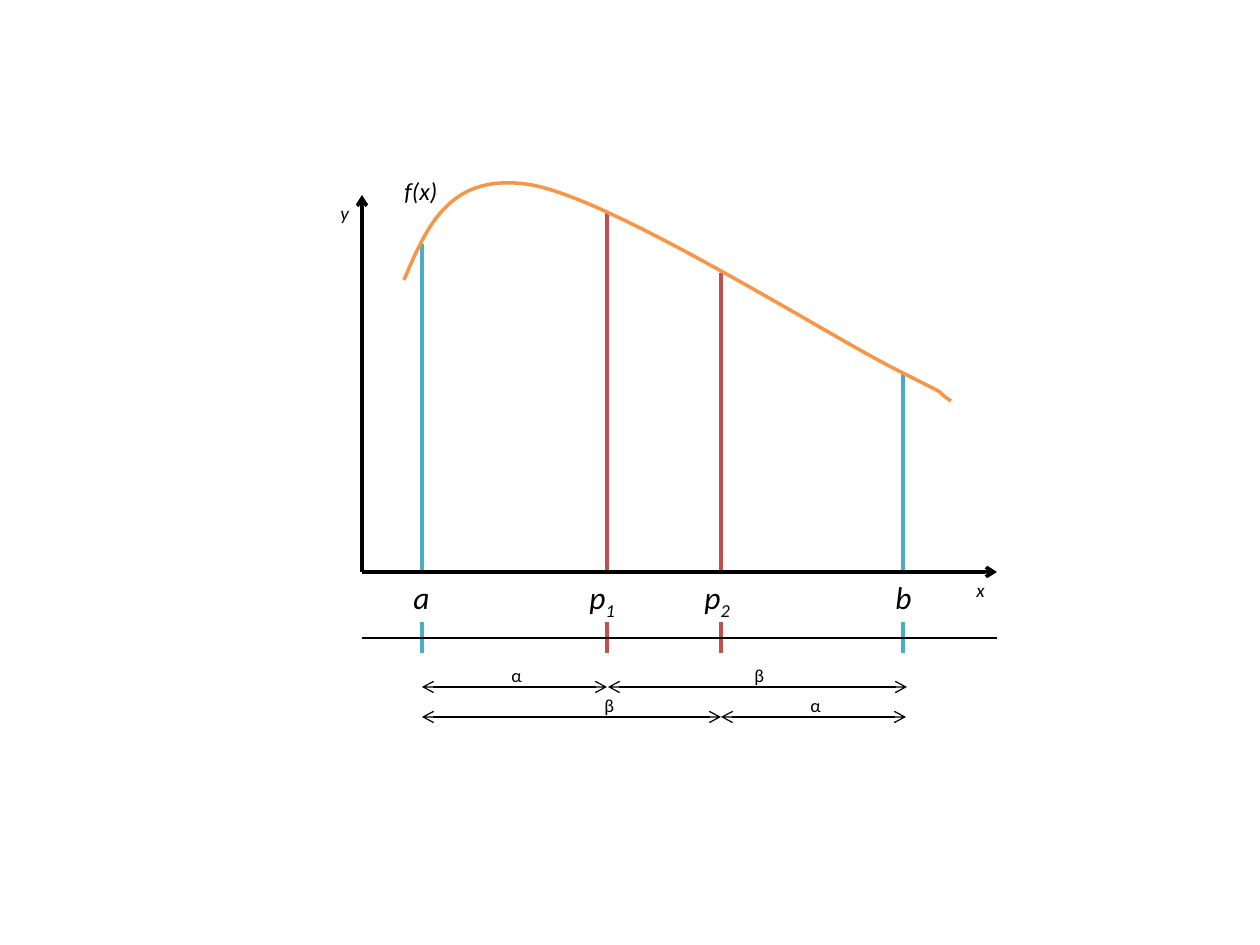
"""Build the interval search slide: a curve over [a, b] with two probe points."""
from lxml import etree
from pptx import Presentation, util as u
from pptx.dml.color import RGBColor
from pptx.enum import shapes, text
from pptx.oxml.ns import qn

PX = u.Inches(1) // 126
COLORS = {"ink": "000000", "bound": "4BACC6", "probe": "C0504D", "curve": "F79646"}
LEFT, RIGHT, TOP, BASE = 362, 997, 195, 572
SCALE_Y, TICK_TOP, TICK_BOTTOM = 638, 622, 653
A, P1, P2, B = 422, 607, 721, 903

MARKS = [(A, 244, "bound"), (P1, 213, "probe"), (P2, 273, "probe"), (B, 373, "bound")]
CURVE_START = (404, 280)
CURVE = [
    [(427, 226), (450, 171), (532, 185)],
    [(614, 200), (824, 333), (895, 369)],
    [(964, 404), (926, 384), (951, 401)],
]
SPANS = [(A, P1, 687), (P1 + 1, B + 4, 687), (A, P2, 717), (P2, B + 3, 717)]
LABELS = [
    ("a", "", 401, BASE, 30, 50, 18),
    ("b", "", 883, BASE, 42, 50, 18),
    ("p", "1", 577, BASE, 59, 50, 18),
    ("p", "2", 692, BASE, 59, 50, 18),
    ("f(x)", "", 392, 170, 59, 43, 14),
    ("y", "", 328, TOP, 34, 37, 11),
    ("x", "", 964, BASE, 34, 37, 11),
    ("α", "", 499, 658, 32, 37, 10.5),
    ("β", "", 742, 658, 32, 37, 10.5),
    ("β", "", 592, 688, 32, 37, 10.5),
    ("α", "", 798, 688, 32, 37, 10.5),
]

prs = Presentation()
prs.slide_width, prs.slide_height = u.Inches(10), u.Inches(7.5)
s = prs.slides.add_slide(prs.slide_layouts[6])


def style_line(line, color, width):
    line.color.rgb = RGBColor.from_string(COLORS[color])
    line.width = u.Pt(width)


def add_line(x1, y1, x2, y2, color="ink", width=2, ends=()):
    c = s.shapes.add_connector(
        shapes.MSO_CONNECTOR.STRAIGHT, x1 * PX, y1 * PX, x2 * PX, y2 * PX)
    style_line(c.line, color, width)
    ln = c.line._get_or_add_ln()
    for end in ends:
        etree.SubElement(ln, qn(f"a:{end}"), type="arrow")
    etree.SubElement(c._element.spPr, qn("a:effectLst"))


def bezier(p0, p1, p2, p3, steps=24):
    for i in range(1, steps + 1):
        t = i / steps
        k = ((1 - t) ** 3, 3 * t * (1 - t) ** 2, 3 * t * t * (1 - t), t ** 3)
        yield tuple(round(PX * sum(w * v for w, v in zip(k, axis)))
                    for axis in zip(p0, p1, p2, p3))


def add_curve():
    points, start = [], CURVE_START
    for segment in CURVE:
        points += bezier(start, *segment)
        start = segment[-1]
    fb = s.shapes.build_freeform(CURVE_START[0] * PX, CURVE_START[1] * PX)
    fb.add_line_segments(points, close=False)
    sp = fb.convert_to_shape()
    sp.shadow.inherit = False
    sp.fill.background()
    style_line(sp.line, "curve", 2)


def add_label(main, sub, x, y, w, h, size):
    tf = s.shapes.add_textbox(x * PX, y * PX, w * PX, h * PX).text_frame
    tf.word_wrap = len(main) == 1
    tf.auto_size = text.MSO_AUTO_SIZE.SHAPE_TO_FIT_TEXT
    p = tf.paragraphs[0]
    p.font.name, p.font.size = "Calibri", u.Pt(size)
    p.font.italic = main not in "αβ"
    p.font.color.rgb = RGBColor.from_string(COLORS["ink"])
    p.add_run().text = main
    if sub:
        r = p.add_run()
        r.text = sub
        r.font._element.set("baseline", "-25000")


for x, top, color in MARKS:
    add_line(x, top, x, BASE, color)
    add_line(x, TICK_BOTTOM, x, TICK_TOP, color)
add_curve()
add_line(LEFT, BASE, LEFT, TOP, ends=["tailEnd"])
add_line(LEFT, BASE, RIGHT, BASE, ends=["tailEnd"])
add_line(LEFT, SCALE_Y, RIGHT, SCALE_Y, width=0.75)
for x1, x2, y in SPANS:
    add_line(x1, y, x2, y, width=0.75, ends=["headEnd", "tailEnd"])
for label in LABELS:
    add_label(*label)

prs.save("out.pptx")
